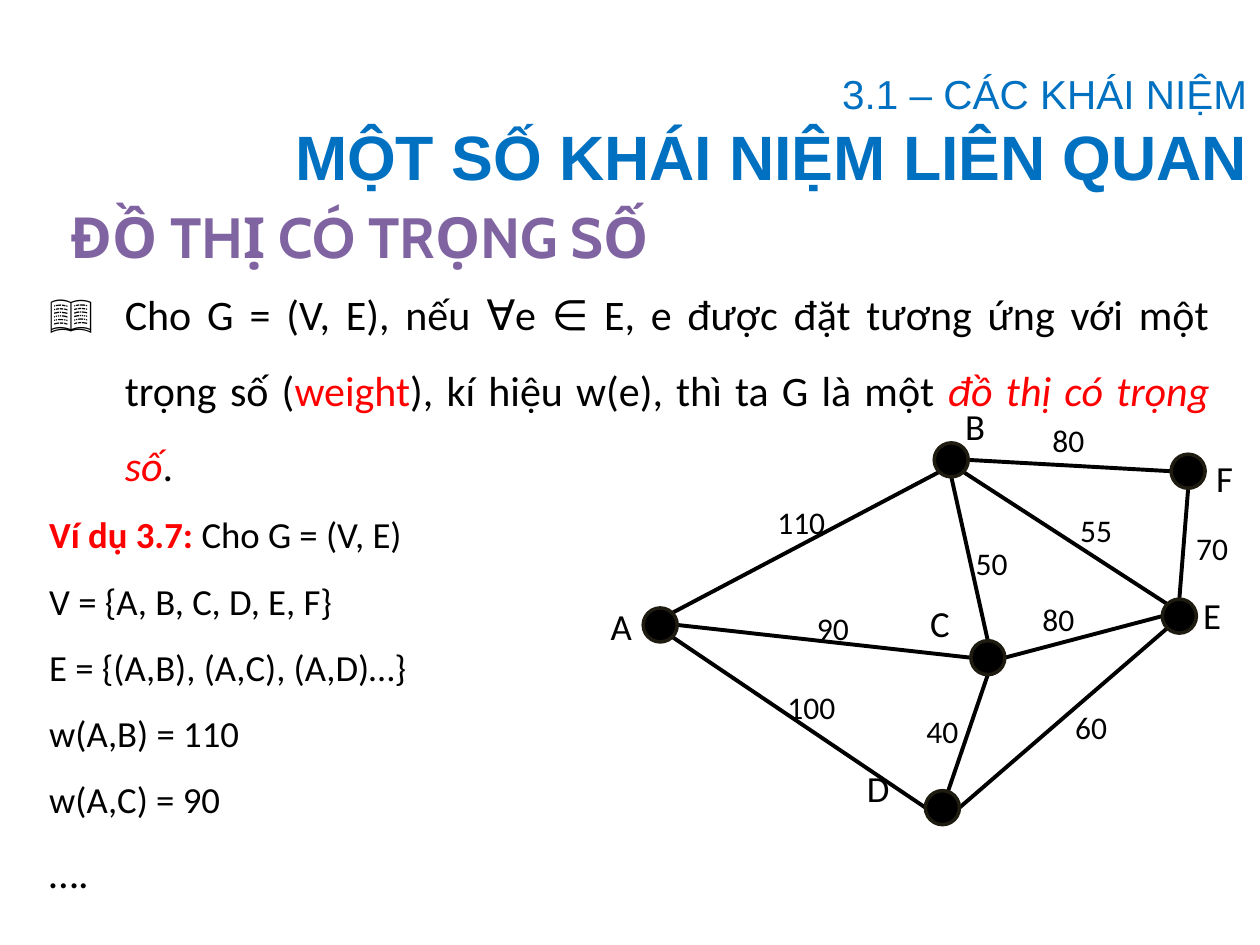
from lxml.etree import SubElement
from pptx import Presentation
from pptx.dml.color import RGBColor
from pptx.enum.shapes import MSO_CONNECTOR, MSO_SHAPE
from pptx.enum.text import MSO_ANCHOR, MSO_AUTO_SIZE, PP_ALIGN
from pptx.oxml.ns import qn
from pptx.util import Inches, Pt

THEME = {
    "blue": RGBColor(0x00, 0x70, 0xC0),
    "purple": RGBColor(0x80, 0x64, 0xA2),
    "red": RGBColor(0xFF, 0x00, 0x00),
    "black": RGBColor(0x00, 0x00, 0x00),
    "rim": RGBColor(0x1E, 0x1C, 0x11),
    "heading_font": "Arial",
    "title_font": "Cabin",
    "body_font": "Calibri",
    "heading": 35.8,
    "section": 23.1,
    "title": 32.4,
    "definition": 24,
    "example": 21,
    "node": 21,
    "weight": 18,
}

presentation = Presentation()
presentation.slide_width = Inches(10)
presentation.slide_height = Inches(7.5)
column = presentation.slide_width / 100
row = presentation.slide_height / 75


def grid(left, top, width, height):
    return [round(left * column), round(top * row), round(width * column), round(height * row)]


def style(font, name, size, color, bold=False, italic=False):
    font.name = THEME[name]
    font.size = Pt(THEME[size])
    font.color.rgb = THEME[color]
    font.bold = bold
    font.italic = italic


slide = presentation.slides.add_slide(presentation.slide_layouts[1])

title = slide.shapes.title
title.left, title.top, title.width, title.height = grid(4.6, 15.4, 94.1, 6.7)
title.text_frame.text = "ĐỒ THỊ CÓ TRỌNG SỐ"
title.text_frame.auto_size = MSO_AUTO_SIZE.NONE
title.text_frame.vertical_anchor = MSO_ANCHOR.MIDDLE
paragraph = title.text_frame.paragraphs[0]
paragraph.alignment = PP_ALIGN.LEFT
style(paragraph.runs[0].font, "title_font", "title", "purple", bold=True)

body = slide.placeholders[1]
body.left, body.top, body.width, body.height = grid(2.9, 20.4, 94.1, 45.8)
body.text_frame.auto_size = MSO_AUTO_SIZE.NONE
body_paragraphs = [
    ("definition", [
        ("Cho G = (V, E), nếu ∀e ∈ E, e được đặt tương ứng với một trọng số (", "black", False, False),
        ("weight", "red", False, False),
        ("), kí hiệu w(e), thì ta G là một ", "black", False, False),
        ("đồ thị có trọng số", "red", False, True),
        (".", "black", False, False),
    ]),
    ("example", [("Ví dụ 3.7: ", "red", True, False), ("Cho G = (V, E)", "black", False, False)]),
    ("example", [("V = {A, B, C, D, E, F}", "black", False, False)]),
    ("example", [("E = {(A,B), (A,C), (A,D)…}", "black", False, False)]),
    ("example", [("w(A,B) = 110", "black", False, False)]),
    ("example", [("w(A,C) = 90", "black", False, False)]),
    ("definition", [("….", "black", False, False)]),
]
for index, (size, runs) in enumerate(body_paragraphs):
    paragraph = body.text_frame.add_paragraph() if index else body.text_frame.paragraphs[0]
    paragraph.alignment = PP_ALIGN.JUSTIFY
    paragraph.line_spacing = 1.5
    paragraph.space_before = Pt(0)
    properties = paragraph._p.get_or_add_pPr()
    indent = 0 if index else round(6 * column)
    properties.set("marL", str(indent))
    properties.set("indent", str(-indent))
    if index:
        SubElement(properties, qn("a:buNone"))
    else:
        SubElement(properties, qn("a:buChar")).set("char", "📖")
    for text, color, bold, italic in runs:
        run = paragraph.add_run()
        run.text = text
        style(run.font, "body_font", size, color, bold, italic)

node_size = 2.7
node_centers = {
    "A": (52.4, 49.6),
    "B": (75.5, 36.5),
    "C": (78.4, 52.2),
    "D": (74.8, 64.1),
    "E": (93.6, 48.9),
    "F": (94.3, 37.4),
}
radius = node_size / 2
diagonal = radius * 0.71
rim_points = {
    "center": (0, 0),
    "top": (0, -radius),
    "bottom": (0, radius),
    "left": (-radius, 0),
    "right": (radius, 0),
    "top left": (-diagonal, -diagonal),
    "top right": (diagonal, -diagonal),
    "bottom left": (-diagonal, diagonal),
    "bottom right": (diagonal, diagonal),
}
edges = [
    ("B", "bottom right", "E", "top left"),
    ("A", "top right", "B", "bottom left"),
    ("D", "left", "A", "bottom right"),
    ("C", "right", "E", "left"),
    ("C", "bottom", "D", "center"),
    ("C", "left", "A", "right"),
    ("B", "bottom", "C", "top"),
    ("D", "right", "E", "bottom left"),
    ("F", "left", "B", "right"),
    ("F", "bottom", "E", "top"),
]
for start, start_side, end, end_side in edges:
    points = []
    for node, side in ((start, start_side), (end, end_side)):
        points.append(round((node_centers[node][0] + rim_points[side][0]) * column))
        points.append(round((node_centers[node][1] + rim_points[side][1]) * row))
    edge = slide.shapes.add_connector(MSO_CONNECTOR.STRAIGHT, *points)
    edge.line.color.rgb = THEME["black"]
    edge.line.width = Pt(2.25)
    SubElement(edge._element.spPr, qn("a:effectLst"))

for x, y in node_centers.values():
    node = slide.shapes.add_shape(MSO_SHAPE.OVAL, *grid(x - radius, y - radius, node_size, node_size))
    node.shadow.inherit = False
    node.fill.solid()
    node.fill.fore_color.rgb = THEME["black"]
    node.line.color.rgb = THEME["rim"]
    node.line.width = Pt(2)

label_width, label_height = 17.6, 5
labels = {
    "node": [
        ("A", 40.5, 47.2), ("B", 68.6, 31.3), ("C", 65.8, 46.9),
        ("D", 60.9, 60), ("E", 87.4, 46.3), ("F", 88.4, 35.4),
    ],
    "weight": [
        ("110", 54.8, 38.9), ("100", 55.6, 53.6), ("90", 57.3, 47.3), ("50", 69.9, 42.2),
        ("80", 76, 32.4), ("70", 87.4, 41), ("60", 77.8, 55.2), ("55", 78.2, 39.6),
        ("40", 66, 55.5), ("80", 75.2, 46.6),
    ],
}
for size, entries in labels.items():
    for text, left, top in entries:
        label = slide.shapes.add_textbox(*grid(left, top, label_width, label_height))
        label.text_frame.word_wrap = True
        label.text_frame.vertical_anchor = MSO_ANCHOR.MIDDLE
        label.text_frame.text = text
        paragraph = label.text_frame.paragraphs[0]
        paragraph.alignment = PP_ALIGN.CENTER
        style(paragraph.runs[0].font, "body_font", size, "black")

heading = slide.shapes.add_textbox(*grid(21.7, 5, 78.3, 10.8))
heading.text_frame.word_wrap = True
heading.text_frame.vertical_anchor = MSO_ANCHOR.MIDDLE
heading.text_frame.text = "3.1 – CÁC KHÁI NIỆM\nMỘT SỐ KHÁI NIỆM LIÊN QUAN"
for paragraph, size in zip(heading.text_frame.paragraphs, ("section", "heading")):
    paragraph.alignment = PP_ALIGN.RIGHT
    style(paragraph.runs[0].font, "heading_font", size, "blue", bold=size == "heading")

presentation.save("out.pptx")
